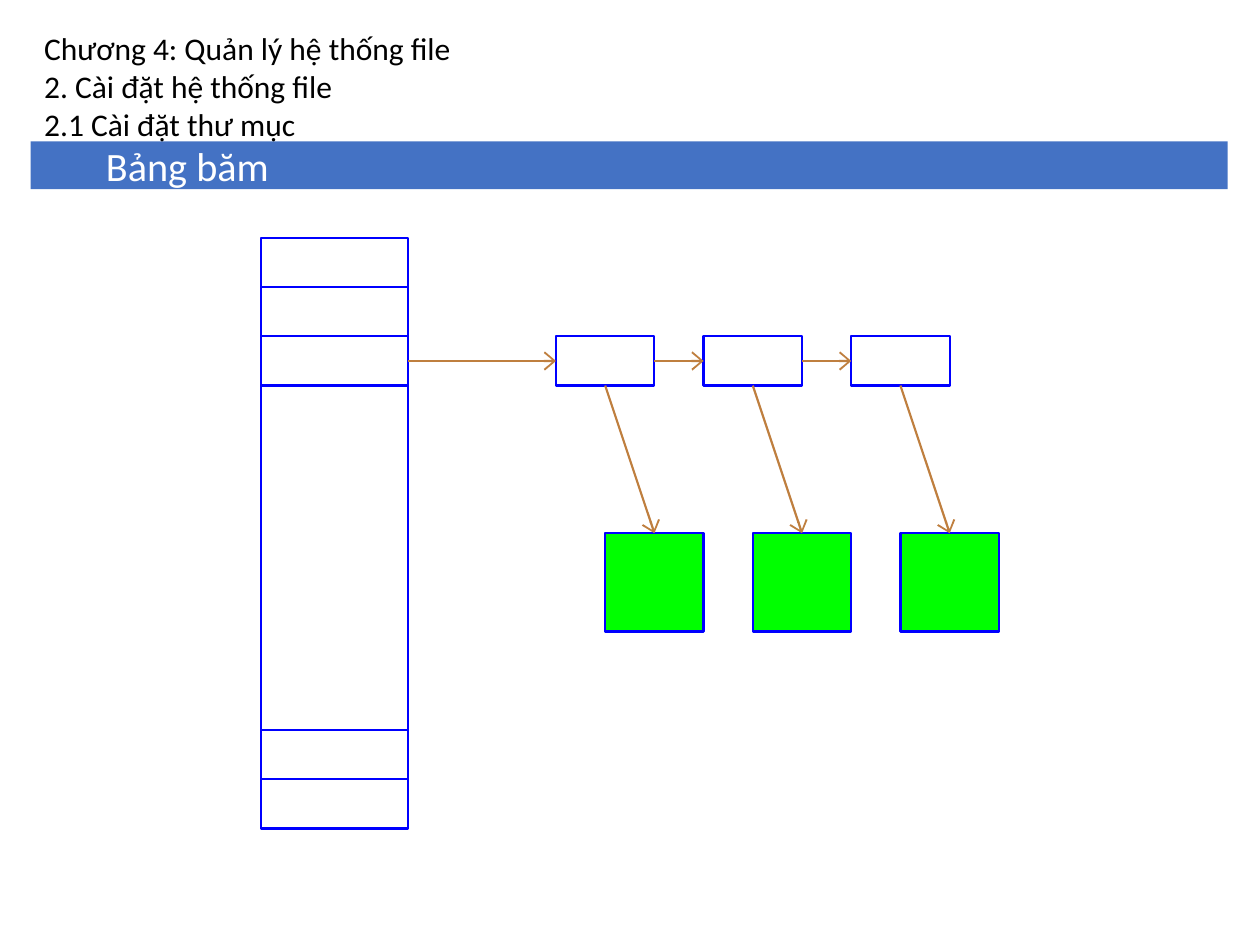
from dataclasses import dataclass

import pptx
import pptx.dml.color
import pptx.enum.shapes
import pptx.enum.text
import pptx.oxml.ns
import pptx.util
from lxml import etree
from pptx.util import Pt

COLORS = {
    "text": "000000",
    "bar": "4472C4",
    "bar_text": "FFFFFF",
    "outline": "0000FF",
    "file": "00FF00",
    "arrow": "BF7F3F",
}
FONT = "Calibri"
LINE_WIDTH = 1.25
UNIT = 28.12  # grid step of the diagram
ORIGIN_X, ORIGIN_Y = 149, 136
TOP, LEFT, BOTTOM, RIGHT = range(4)  # connection sites of a rectangle


@dataclass
class Box:
    """A rectangle measured in grid units from the top of the hash table."""
    x: float
    y: float
    width: float
    height: float
    fill: str | None = None


SLOTS = [Box(0, y, 3, h) for y, h in ((0, 1), (1, 1), (2, 1), (3, 7), (10, 1), (11, 1))]
ENTRIES = [Box(x, 2, 2, 1) for x in (6, 9, 12)]
FILES = [Box(entry.x + 1, 6, 2, 2, "file") for entry in ENTRIES]


def rgb(name: str) -> pptx.dml.color.RGBColor:
    return pptx.dml.color.RGBColor.from_string(COLORS[name])


def draw_box(s, box: Box):
    sp = s.shapes.add_shape(
        pptx.enum.shapes.MSO_SHAPE.RECTANGLE,
        Pt(ORIGIN_X + box.x * UNIT), Pt(ORIGIN_Y + box.y * UNIT),
        Pt(box.width * UNIT), Pt(box.height * UNIT))
    sp.shadow.inherit = False
    if box.fill:
        sp.fill.solid()
        sp.fill.fore_color.rgb = rgb(box.fill)
    else:
        sp.fill.background()
    sp.line.color.rgb = rgb("outline")
    sp.line.width = Pt(LINE_WIDTH)
    return sp


def draw_arrow(s, source, source_site: int, target, target_site: int) -> None:
    arrow = s.shapes.add_connector(pptx.enum.shapes.MSO_CONNECTOR.STRAIGHT, 0, 0, 0, 0)
    arrow.begin_connect(source, source_site)
    arrow.end_connect(target, target_site)
    arrow.line.color.rgb = rgb("arrow")
    arrow.line.width = Pt(LINE_WIDTH)
    qn = pptx.oxml.ns.qn
    etree.SubElement(arrow.line._get_or_add_ln(), qn("a:tailEnd"),
                     type="arrow", w="lg", len="med")
    etree.SubElement(arrow._element.spPr, qn("a:effectLst"))


def format_text(tf, size: float, color: str) -> None:
    for p in tf.paragraphs:
        p.alignment = pptx.enum.text.PP_ALIGN.LEFT
        p.font.name = FONT
        p.font.size = Pt(size)
        p.font.color.rgb = rgb(color)


def draw_bar(s, text: str) -> None:
    bar = s.shapes.add_shape(pptx.enum.shapes.MSO_SHAPE.RECTANGLE,
                             Pt(17.5), Pt(80.8), Pt(684), Pt(27.3))
    bar.shadow.inherit = False
    bar.fill.solid()
    bar.fill.fore_color.rgb = rgb("bar")
    bar.line.fill.background()
    tf = bar.text_frame
    tf.text = text
    tf.vertical_anchor = pptx.enum.text.MSO_ANCHOR.MIDDLE
    tf.paragraphs[0]._p.get_or_add_pPr().set("marL", str(Pt(36)))
    format_text(tf, 23, "bar_text")


def place_title(s, lines: list[str]) -> None:
    title = s.shapes.title
    title.left, title.top, title.width, title.height = Pt(18), Pt(13), Pt(688), Pt(72.7)
    tf = title.text_frame
    tf.text = "\n".join(lines)
    tf.word_wrap = True
    tf.auto_size = pptx.enum.text.MSO_AUTO_SIZE.NONE
    tf.vertical_anchor = pptx.enum.text.MSO_ANCHOR.TOP
    format_text(tf, 18, "text")
    s.shapes._spTree.append(title._element)  # in front of the bar


def main() -> None:
    prs = pptx.Presentation()
    prs.slide_width, prs.slide_height = Pt(720), Pt(540)
    s = prs.slides.add_slide(prs.slide_layouts.get_by_name("Title Only"))

    slots, entries, files = ([draw_box(s, box) for box in boxes]
                             for boxes in (SLOTS, ENTRIES, FILES))
    chain = [slots[2], *entries]
    for source, target in zip(chain, entries):
        draw_arrow(s, source, RIGHT, target, LEFT)
    for entry, file in zip(entries, files):
        draw_arrow(s, entry, BOTTOM, file, TOP)

    draw_bar(s, "Bảng băm")
    place_title(s, ["Chương 4: Quản lý hệ thống file",
                    "2. Cài đặt hệ thống file",
                    "2.1 Cài đặt thư mục"])
    prs.save("out.pptx")


if __name__ == "__main__":
    main()
